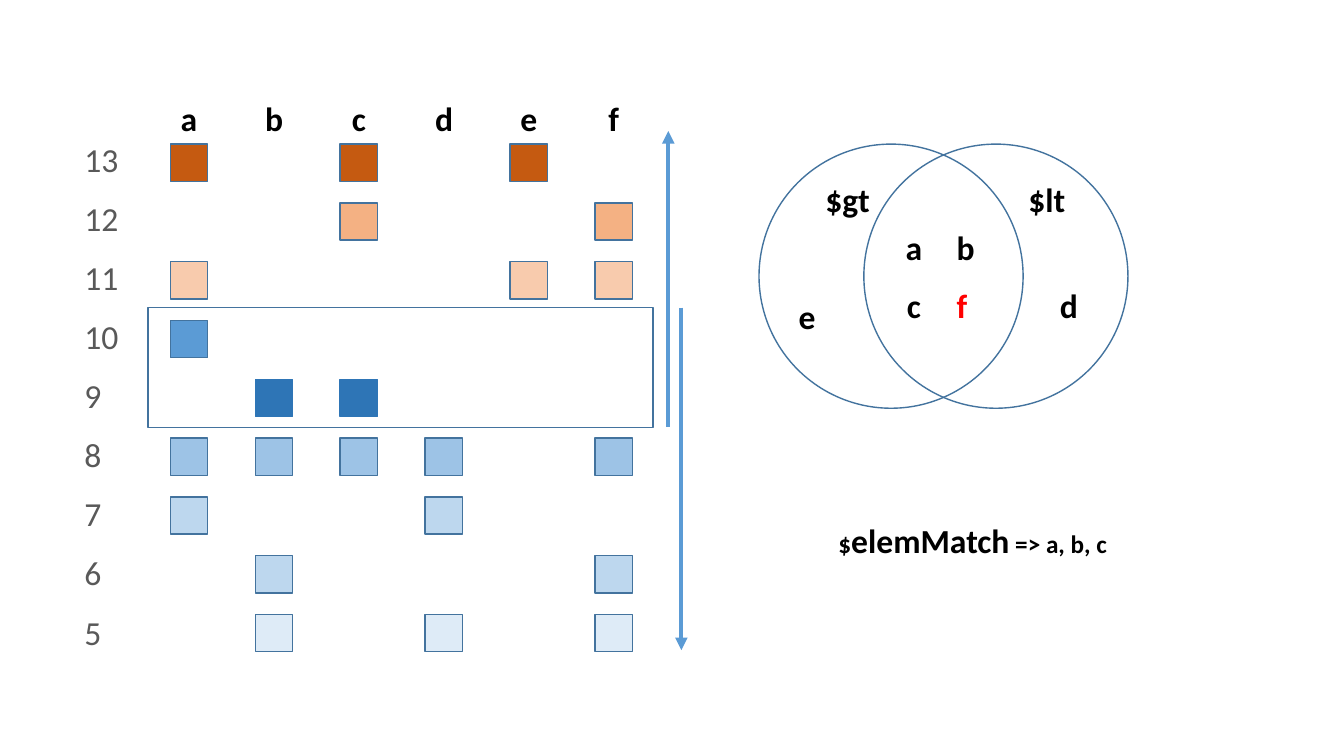
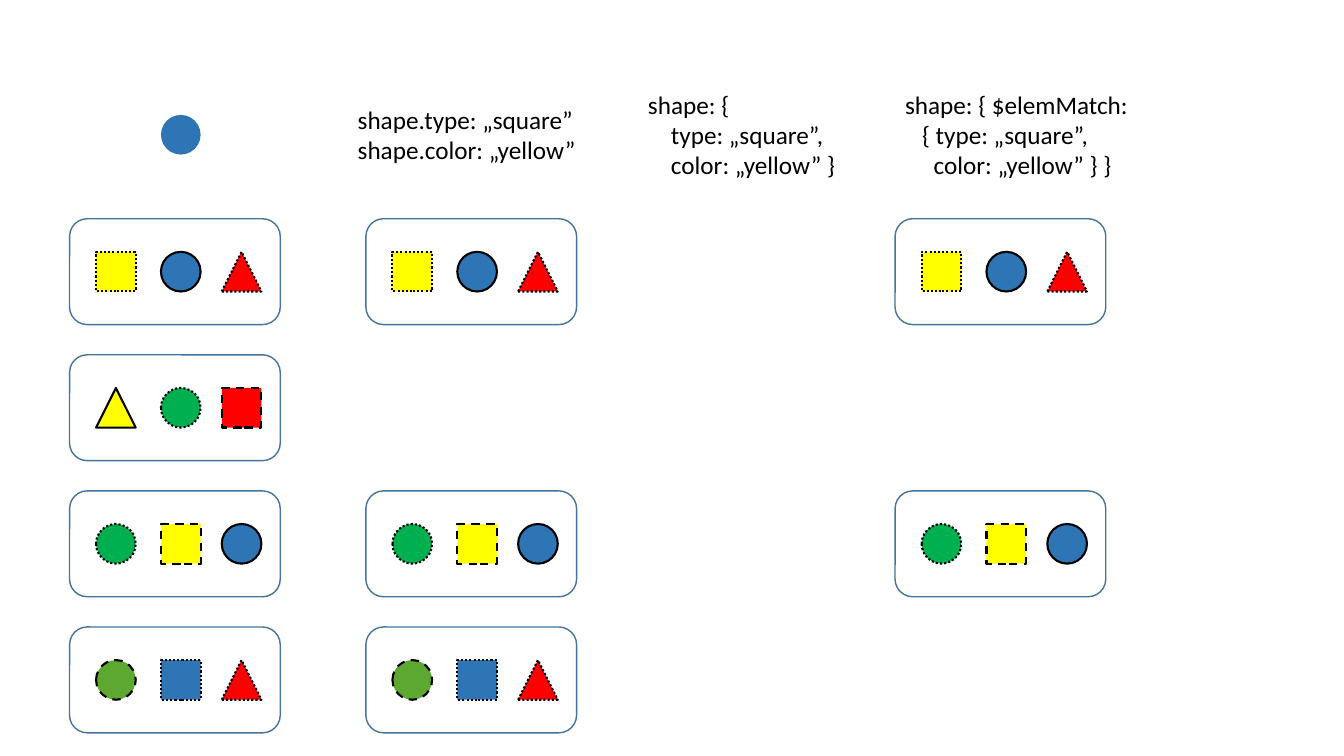
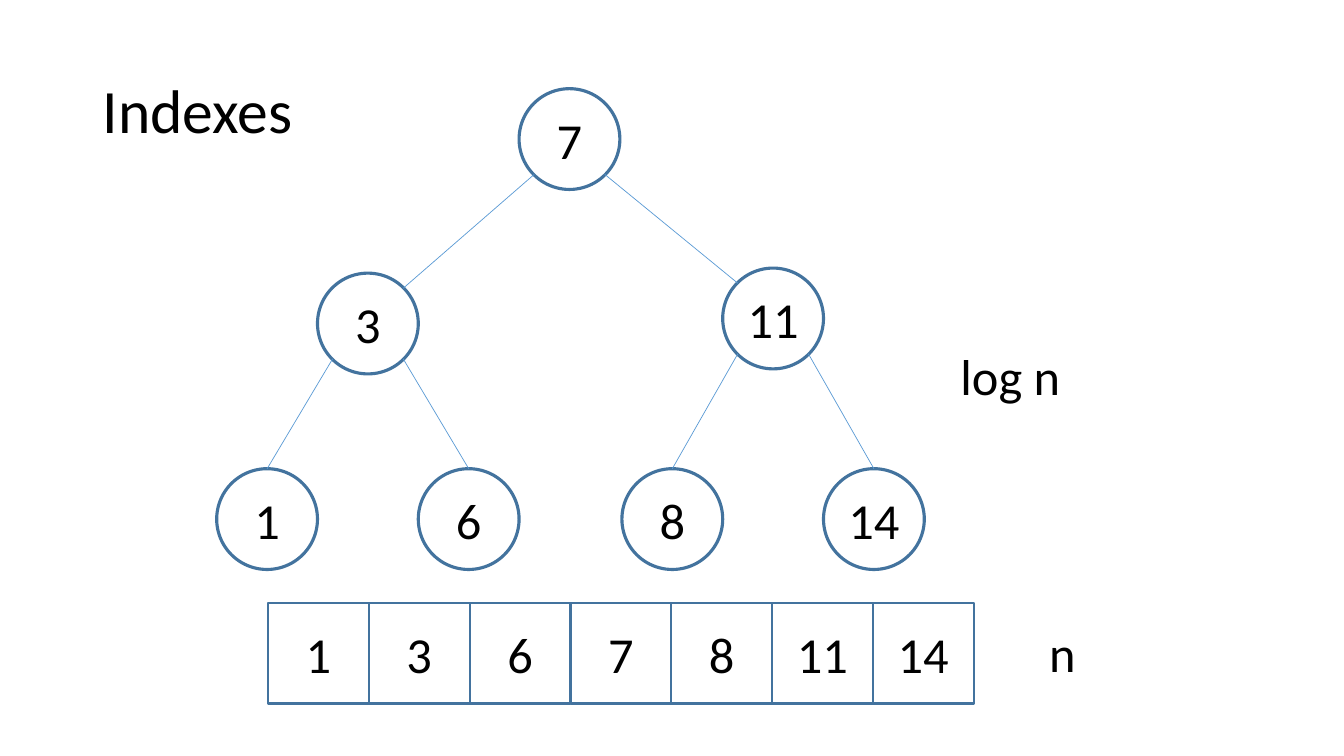
from dataclasses import dataclass

from lxml.etree import SubElement
from pptx import Presentation
from pptx.dml.color import RGBColor
from pptx.enum.dml import MSO_LINE_DASH_STYLE as Dash
from pptx.enum.shapes import MSO_CONNECTOR as Connector, MSO_SHAPE as Preset
from pptx.enum.text import MSO_ANCHOR as Anchor, PP_ALIGN as Align
from pptx.oxml.ns import qn
from pptx.util import Emu, Pt

UNIT = 152400
COLS, ROWS = 80, 45
FONT = "Calibri"

BLACK = RGBColor(0x00, 0x00, 0x00)
GREY = RGBColor(0x59, 0x59, 0x59)
OUTLINE = RGBColor(0x43, 0x73, 0x9E)
ACCENT = RGBColor(0x5B, 0x9B, 0xD5)
BLUE = RGBColor(0x2E, 0x75, 0xB6)
BLUE_MID = RGBColor(0x9D, 0xC3, 0xE6)
BLUE_SOFT = RGBColor(0xBD, 0xD7, 0xEE)
BLUE_PALE = RGBColor(0xDE, 0xEB, 0xF7)
RUST = RGBColor(0xC5, 0x5A, 0x11)
ORANGE = RGBColor(0xF4, 0xB1, 0x83)
PEACH = RGBColor(0xF8, 0xCB, 0xAD)
RED = RGBColor(0xFF, 0x00, 0x00)
YELLOW = RGBColor(0xFF, 0xFF, 0x00)
GREEN = RGBColor(0x00, 0xB0, 0x50)
LEAF = RGBColor(0x5C, 0xA8, 0x31)


@dataclass
class Box:
    left: float
    top: float
    width: float
    height: float

    def inner(self, x, y, width, height):
        return Box(self.left + x, self.top + y, width, height)

    def centred(self, share_x, share_y, width, height):
        return self.inner(self.width * share_x - width / 2,
                          self.height * share_y - height / 2, width, height)

    def point(self, share_x, share_y):
        return self.left + self.width * share_x, self.top + self.height * share_y

    def emu(self):
        return [grid(n) for n in (self.left, self.top, self.width, self.height)]


def grid(units):
    return Emu(round(units * UNIT))


def write(frame, lines, size=24, color=BLACK, bold=False, align=Align.LEFT,
          anchor=Anchor.TOP, wrap=True, gap=0, spacing=None, indents=()):
    frame.word_wrap = wrap
    frame.vertical_anchor = anchor
    for i, line in enumerate(lines):
        paragraph = frame.paragraphs[0] if i == 0 else frame.add_paragraph()
        paragraph.alignment = align
        paragraph.space_before = paragraph.space_after = Pt(gap)
        if spacing:
            paragraph.line_spacing = spacing
        if indents:
            paragraph._p.get_or_add_pPr().set("marL", str(grid(indents[i])))
        for text, run_size in ([(line, size)] if isinstance(line, str) else line):
            run = paragraph.add_run()
            run.text = text
            run.font.name = FONT
            run.font.size = Pt(run_size)
            run.font.bold = bold
            run.font.color.rgb = color


def label(slide, box, *lines, **style):
    write(slide.shapes.add_textbox(*box.emu()).text_frame, lines, **style)


def figure(slide, preset, box, fill=None, line=OUTLINE, weight=1, dash=None, text=None):
    shape = slide.shapes.add_shape(preset, *box.emu())
    shape.shadow.inherit = False
    if fill is None:
        shape.fill.background()
    else:
        shape.fill.solid()
        shape.fill.fore_color.rgb = fill
    if line is None:
        shape.line.fill.background()
    else:
        shape.line.color.rgb = line
        shape.line.width = Pt(weight)
        if dash:
            shape.line.dash_style = dash
    if text:
        frame = shape.text_frame
        frame.margin_left = frame.margin_right = 0
        write(frame, [text], size=36, align=Align.CENTER, anchor=Anchor.MIDDLE, wrap=False)


def link(slide, start, end, weight, arrow=False):
    connector = slide.shapes.add_connector(Connector.STRAIGHT, *map(grid, (*start, *end)))
    connector.line.color.rgb = ACCENT
    connector.line.width = Pt(weight)
    properties = connector._element.spPr
    if arrow:
        SubElement(properties.get_or_add_ln(), qn("a:tailEnd"), type="triangle")
    SubElement(properties, qn("a:effectLst"))


def value_matrix(slide, box):
    letters = "abcdef"
    rows = [("13", RUST, "ace"), ("12", ORANGE, "cf"), ("11", PEACH, "aef"),
            ("10", ACCENT, "a"), ("9", BLUE, "bc"), ("8", BLUE_MID, "abcdf"),
            ("7", BLUE_SOFT, "ad"), ("6", BLUE_SOFT, "bf"), ("5", BLUE_PALE, "bdf")]
    cell = 2.22
    step_x = (box.width - cell) / (len(letters) - 1)
    step_y = (box.height - cell) / (len(rows) - 1)
    figure(slide, Preset.RECTANGLE, box.inner(-1.32, 9.72, 30.06, 7.14))
    for col, letter in enumerate(letters):
        label(slide, box.inner(col * step_x, -3.06, cell, 3), letter,
              bold=True, align=Align.CENTER, wrap=False)
        for row, (_, fill, members) in enumerate(rows):
            if letter in members:
                figure(slide, Preset.RECTANGLE,
                       box.inner(col * step_x, row * step_y, cell, cell),
                       fill=fill, line=BLUE if fill == BLUE else OUTLINE)
    label(slide, box.inner(-5.7, -0.6, 3.24, 31.86), *[row[0] for row in rows],
          color=GREY, gap=6.7)


def range_arrows(slide, box):
    link(slide, box.point(1, 0.34), box.point(1, 1), 3, arrow=True)
    link(slide, box.point(0, 0.57), box.point(0, 0), 3, arrow=True)


def venn(slide, box):
    size = box.height
    for x in (0, box.width - size):
        figure(slide, Preset.OVAL, box.inner(x, 0, size, size))
    for text, x, y, color in [
            ("$gt", 0.24, 0.21, BLACK), ("$lt", 0.78, 0.21, BLACK),
            ("a", 0.42, 0.39, BLACK), ("b", 0.56, 0.39, BLACK),
            ("c", 0.42, 0.61, BLACK), ("f", 0.55, 0.61, RED),
            ("e", 0.13, 0.65, BLACK), ("d", 0.84, 0.61, BLACK)]:
        label(slide, box.centred(x, y, 4, 3), text, color=color, bold=True,
              align=Align.CENTER, wrap=False)


def range_slide(slide):
    value_matrix(slide, Box(10.14, 8.58, 27.5, 30.22))
    range_arrows(slide, Box(39.78, 7.8, 0.78, 30.9))
    venn(slide, Box(45.18, 8.58, 21.96, 15.72))
    label(slide, Box(49.32, 30.66, 19.8, 3),
          [("$", 18), ("elemMatch", 24), (" => a, b, c", 18)], bold=True)


SLOTS = (1.58, 5.44, 9.06)
TOKEN = 2.36
SQUARE, CIRCLE, TRIANGLE = Preset.RECTANGLE, Preset.OVAL, Preset.ISOSCELES_TRIANGLE
DOTTED, DASHED = Dash.ROUND_DOT, Dash.DASH
DOCUMENTS = [
    [(SQUARE, YELLOW, DOTTED), (CIRCLE, BLUE, None), (TRIANGLE, RED, DOTTED)],
    [(TRIANGLE, YELLOW, None), (CIRCLE, GREEN, DOTTED), (SQUARE, RED, DASHED)],
    [(CIRCLE, GREEN, DOTTED), (SQUARE, YELLOW, DASHED), (CIRCLE, BLUE, None)],
    [(CIRCLE, LEAF, DASHED), (SQUARE, BLUE, DOTTED), (TRIANGLE, RED, DOTTED)],
]


def document_card(slide, box, tokens):
    figure(slide, Preset.ROUNDED_RECTANGLE, box)
    for x, (preset, fill, dash) in zip(SLOTS, tokens):
        figure(slide, preset, box.inner(x, (box.height - TOKEN) / 2, TOKEN, TOKEN),
               fill=fill, line=BLACK, weight=1.5, dash=dash)


def result_column(slide, box, matches):
    for row in matches:
        document_card(slide, box.inner(0, row * 8.1, box.width, 6.3), DOCUMENTS[row])


def query_slide(slide):
    for left, matches in [(4.14, (0, 1, 2, 3)), (21.78, (0, 2, 3)), (53.28, (0, 2))]:
        result_column(slide, Box(left, 13.02, 12.54, 30.6), matches)
    figure(slide, CIRCLE, Box(4.14 + SLOTS[1], 6.84, TOKEN, TOKEN), fill=BLUE, line=None)
    for left, lines, indents in [
            (20.7, ("shape.type: „square”", "shape.color: „yellow”"), (0, 0)),
            (37.98, ("shape: {", "type: „square”,", "color: „yellow” }"), (0, 1.37, 1.37)),
            (53.28, ("shape: { $elemMatch:", "{ type: „square”,", "color: „yellow” } }"),
             (0, 1.02, 1.7))]:
        label(slide, Box(left, 4.98, 16, 6.06), *lines, size=18,
              anchor=Anchor.MIDDLE, indents=indents)


def search_tree(slide, box):
    size = 6
    nodes = {"7": (18, 0), "3": (6, 10.98), "11": (30.12, 10.68), "1": (0, 22.62),
             "6": (12, 22.62), "8": (24.12, 22.62), "14": (36.12, 22.62)}
    places = {key: box.inner(x, y, size, size) for key, (x, y) in nodes.items()}
    for key, place in places.items():
        figure(slide, Preset.OVAL, place, weight=2.25, text=key)
    near, far = 0.15, 0.85
    for parent, left, right in [("7", "3", "11"), ("3", "1", "6"), ("11", "8", "14")]:
        for child, side in ((left, near), (right, far)):
            end = (1 - side, near) if parent == "7" else (0.5, 0)
            link(slide, places[parent].point(side, far), places[child].point(*end), 0.5)


def sorted_array(slide, box, values):
    width = box.width / len(values)
    for col, value in enumerate(values):
        figure(slide, Preset.RECTANGLE, box.inner(col * width, 0, width, box.height),
               weight=1.5, text=value)


def index_slide(slide):
    label(slide, Box(5.52, 2.4, 69, 8.7), "Indexes", size=44,
          anchor=Anchor.MIDDLE, spacing=0.9)
    search_tree(slide, Box(12.9, 5.28, 42.12, 28.62))
    sorted_array(slide, Box(15.96, 35.88, 42, 6), ["1", "3", "6", "7", "8", "11", "14"])
    for text, box in [("log n", Box(56.58, 20.22, 7.2, 4.26)),
                      ("n", Box(61.86, 36.72, 2.82, 4.26))]:
        label(slide, box, text, size=36, wrap=False)


def main():
    deck = Presentation()
    deck.slide_width, deck.slide_height = grid(COLS), grid(ROWS)
    for build in (range_slide, query_slide, index_slide):
        build(deck.slides.add_slide(deck.slide_layouts[6]))
    deck.save("out.pptx")


if __name__ == "__main__":
    main()
